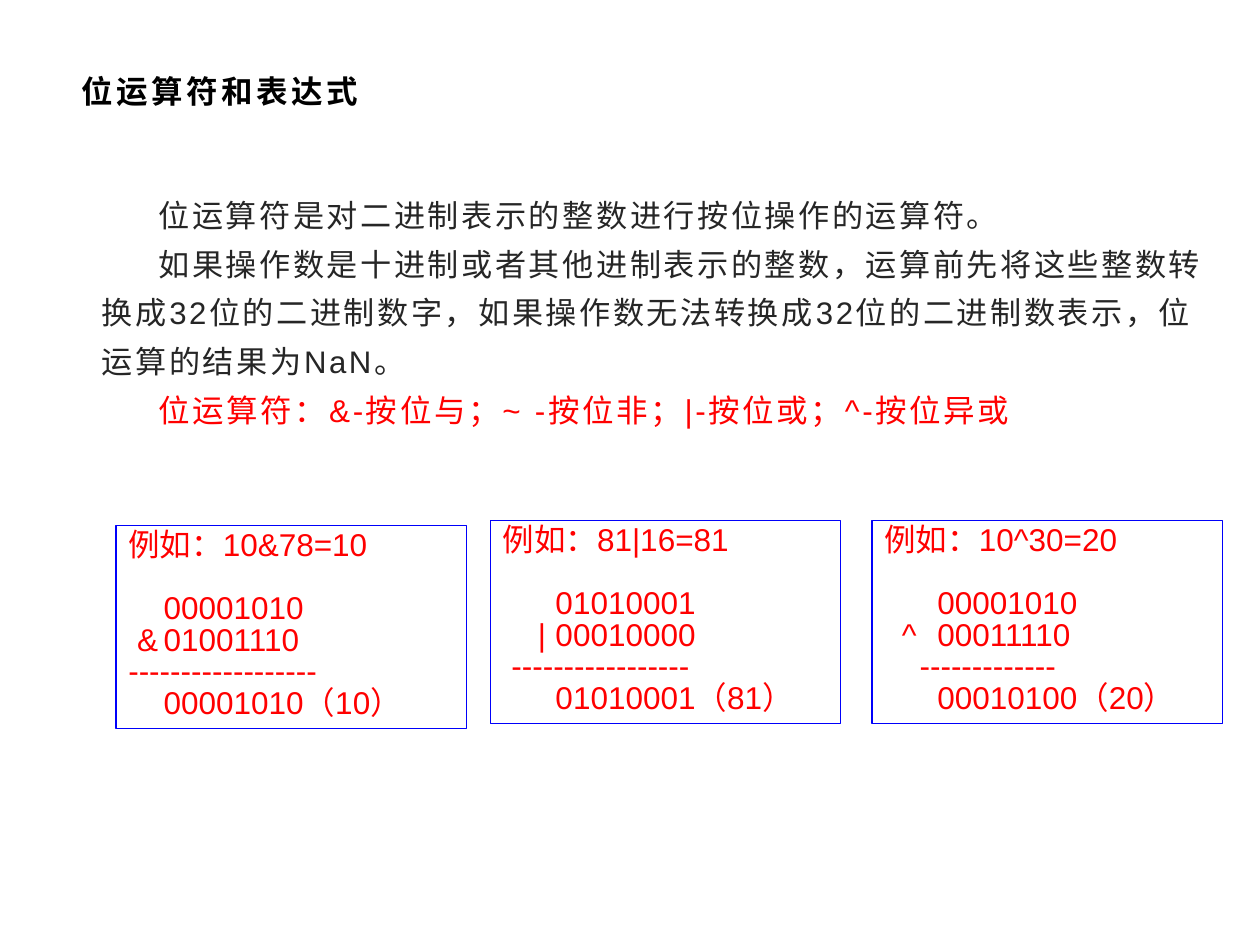
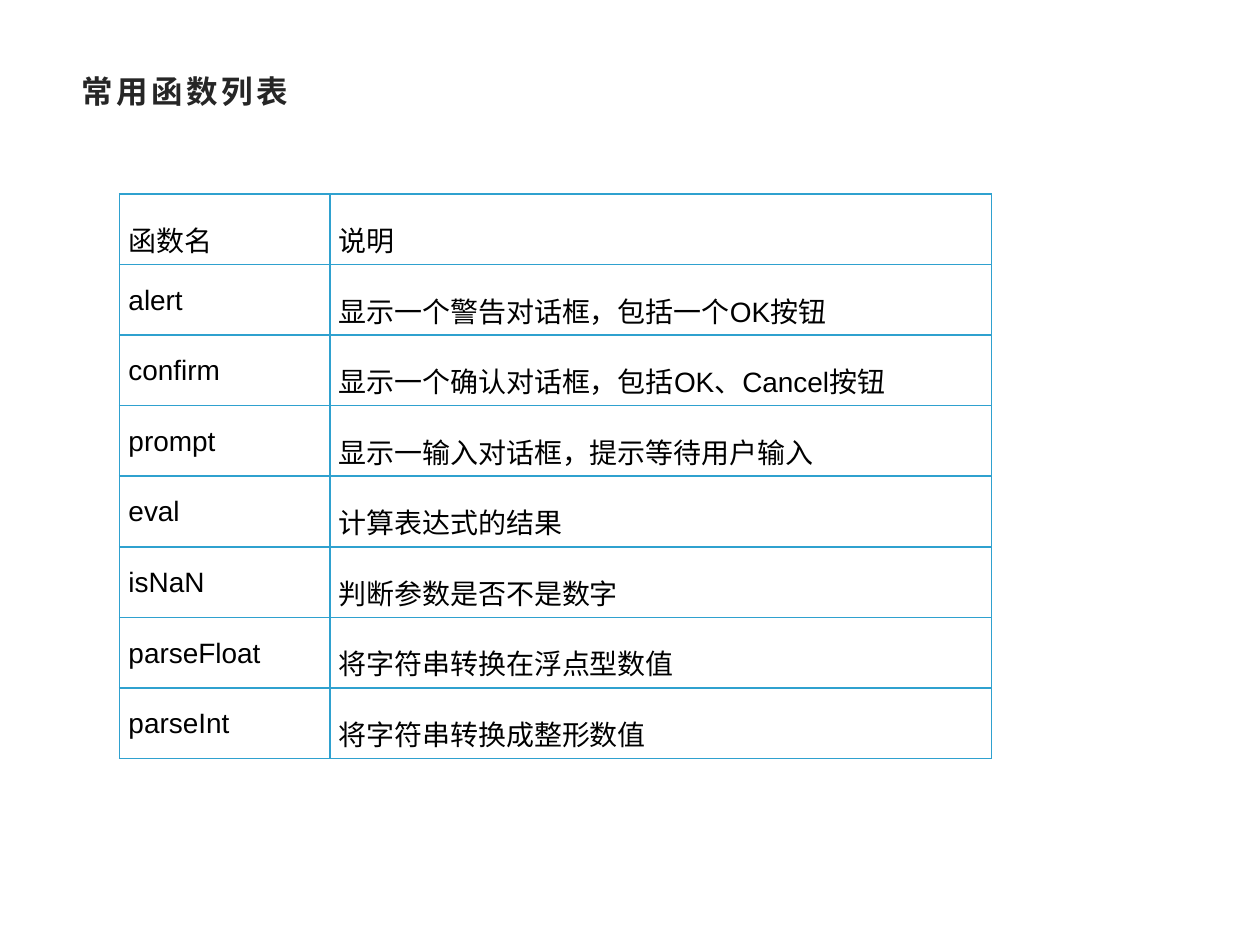
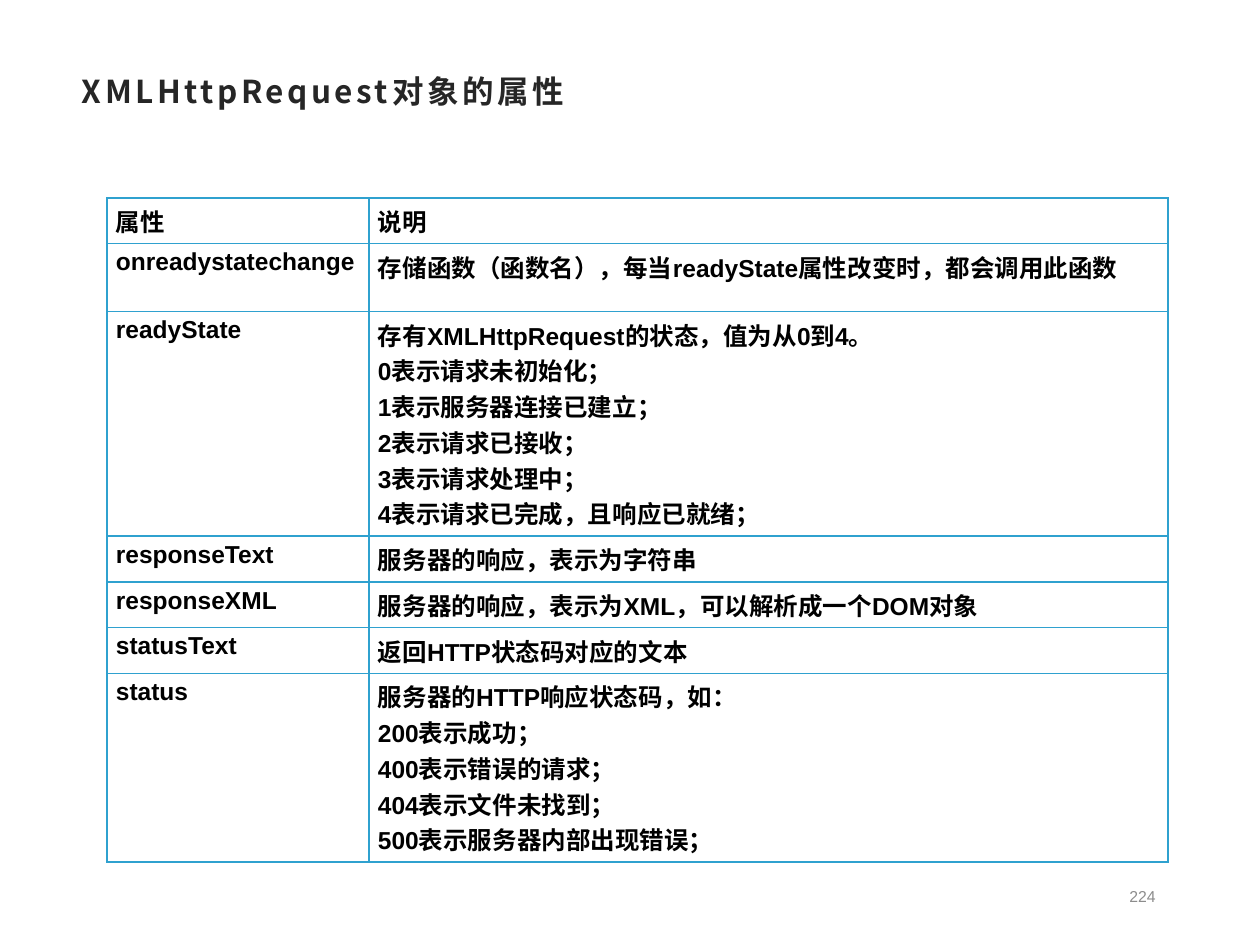
from pptx import Presentation
from pptx.dml.color import RGBColor
from pptx.enum import shapes, text
from pptx.oxml import ns
from pptx.util import Inches, Pt
from lxml import etree

# Content
HEADS = ["位运算符和表达式", "常用函数列表", "XMLHttpRequest对象的属性"]
INTRO = [
    "位运算符是对二进制表示的整数进行按位操作的运算符。",
    "如果操作数是十进制或者其他进制表示的整数，运算前先将这些整数转换成32位的二进制数字，"
    "如果操作数无法转换成32位的二进制数表示，位运算的结果为NaN。",
]
SIGNS = "位运算符：&-按位与；~ -按位非；|-按位或；^-按位异或"
# Head, first number, sign, second number, rule length, result,
# box place, then indents of the sign, the digits and the rule
SUMS = [
    ("例如：10&78=10", "00001010", "&", "01001110", 18, "00001010（10）",
     (0.92, 4.17), (0.07, 0.28, 0)),
    ("例如：81|16=81", "01010001", "|", "00010000", 17, "01010001（81）",
     (3.89, 4.13), (0.28, 0.42, 0.07)),
    ("例如：10^30=20", "00001010", "^", "00011110", 13, "00010100（20）",
     (6.92, 4.13), (0.14, 0.42, 0.28)),
]
FUNCS = [
    ("函数名", "说明"),
    ("alert", "显示一个警告对话框，包括一个OK按钮"),
    ("confirm", "显示一个确认对话框，包括OK、Cancel按钮"),
    ("prompt", "显示一输入对话框，提示等待用户输入"),
    ("eval", "计算表达式的结果"),
    ("isNaN", "判断参数是否不是数字"),
    ("parseFloat", "将字符串转换在浮点型数值"),
    ("parseInt", "将字符串转换成整形数值"),
]
PROPS = [
    ("属性", "说明"),
    ("onreadystatechange", "存储函数（函数名），每当readyState属性改变时，都会调用此函数"),
    ("readyState", "存有XMLHttpRequest的状态，值为从0到4。\n0表示请求未初始化；\n"
     "1表示服务器连接已建立；\n2表示请求已接收；\n3表示请求处理中；\n"
     "4表示请求已完成，且响应已就绪；"),
    ("responseText", "服务器的响应，表示为字符串"),
    ("responseXML", "服务器的响应，表示为XML，可以解析成一个DOM对象"),
    ("statusText", "返回HTTP状态码对应的文本"),
    ("status", "服务器的HTTP响应状态码，如：\n200表示成功；\n400表示错误的请求；\n"
     "404表示文件未找到；\n500表示服务器内部出现错误；"),
]
PAGE = "224"

# Shared look
HUES = {"black": "000000", "ink": "262626", "red": "FF0000",
        "blue": "0000FA", "grid": "2FA1CF", "grey": "8C8C8C"}
LATIN, HAN = "Arial", "Noto Sans CJK SC"


def hue(name):
    return RGBColor.from_string(HUES[name])


def write(par, words, size, color, bold=False, gap=0, face=LATIN, **form):
    """Put one run in a paragraph; form holds paragraph format values."""
    run = par.add_run()
    run.text = words
    for key, val in {"size": Pt(size), "bold": bold, "name": face}.items():
        setattr(run.font, key, val)
    run.font.color.rgb = hue(color)
    props = run.font._element
    etree.SubElement(props, ns.qn("a:ea")).set("typeface", HAN)
    if gap:
        props.set("spc", str(int(gap * 100)))
    for key, val in form.items():
        setattr(par, key, val)


def indent(par, left, first=0):
    props = par._p.get_or_add_pPr()
    props.set("marL", str(Inches(left)))
    props.set("indent", str(Inches(first)))


def pars(frame, count):
    return [frame.paragraphs[0]] + [frame.add_paragraph() for _ in range(count - 1)]


def add_slide(deck, head, color="ink", face=LATIN):
    slide = deck.slides.add_slide(deck.slide_layouts[5])
    title = slide.shapes.title
    for key, val in zip(("left", "top", "width", "height"), (0.55, 0.48, 8.9, 0.48)):
        setattr(title, key, Inches(val))
    title.text_frame.vertical_anchor = text.MSO_ANCHOR.MIDDLE
    write(title.text_frame.paragraphs[0], head, 18, color, True, 2, face,
          alignment=text.PP_ALIGN.LEFT)
    return slide


def add_box(slide, *place):
    frame = slide.shapes.add_textbox(*map(Inches, place)).text_frame
    frame.word_wrap = True
    return frame


def add_sum(slide, head, one, sign, two, dashes, result, place, tabs):
    box = slide.shapes.add_shape(shapes.MSO_SHAPE.RECTANGLE,
                                 *map(Inches, (*place, 2.78, 1.61)))
    box.shadow.inherit = False
    box.fill.background()
    box.line.color.rgb = hue("blue")
    box.line.width = Pt(0.75)
    frame = box.text_frame
    frame.vertical_anchor = text.MSO_ANCHOR.TOP
    frame.auto_size = text.MSO_AUTO_SIZE.SHAPE_TO_FIT_TEXT
    mark, digit, rule = tabs
    rows = [(head, 0, 0), (one, digit, 0), (f"{sign}\t{two}", digit, mark - digit),
            ("-" * dashes, rule, 0), (result, digit, 0)]
    for i, (par, (words, left, first)) in enumerate(zip(pars(frame, len(rows)), rows)):
        indent(par, left, first)
        write(par, words, 18, "red", line_spacing=Pt(18),
              space_before=Pt(18 if i == 1 else 0), alignment=text.PP_ALIGN.LEFT)


def edge(cell):
    props = cell._tc.get_or_add_tcPr()
    for side in "LRTB":
        line = etree.SubElement(props, ns.qn(f"a:ln{side}"), w=str(Pt(1)))
        fill = etree.SubElement(line, ns.qn("a:solidFill"))
        etree.SubElement(fill, ns.qn("a:srgbClr"), val=HUES["grid"])


def add_grid(slide, rows, left, top, cols, highs, **form):
    places = (left, top, sum(cols), sum(highs))
    table = slide.shapes.add_table(len(rows), len(cols), *map(Inches, places)).table
    table.first_row = table.horz_banding = False
    for col, wide in zip(table.columns, cols):
        col.width = Inches(wide)
    for row, high, cells in zip(table.rows, highs, rows):
        row.height = Inches(high)
        for cell, words in zip(row.cells, cells):
            edge(cell)
            cell.fill.background()
            cell.margin_left = cell.margin_right = Inches(0.07)
            cell.margin_top = cell.margin_bottom = Inches(0.04)
            lines = words.split("\n")
            for par, line in zip(pars(cell.text_frame, len(lines)), lines):
                write(par, line, color="black", **form)


def main():
    deck = Presentation()
    deck.slide_width, deck.slide_height = Inches(10), Inches(7.5)

    # Bitwise operators
    slide = add_slide(deck, HEADS[0], "black")
    lines = [(line, 17.8, "ink") for line in INTRO] + [(SIGNS, 18, "red")]
    frame = add_box(slide, 0.71, 1.42, 8.99, 2.25)
    for par, (words, size, color) in zip(pars(frame, len(lines)), lines):
        indent(par, 0, 0.45)
        write(par, words, size, color, gap=1.5, line_spacing=1.3)
    for item in SUMS:
        add_sum(slide, *item)

    # Common functions
    slide = add_slide(deck, HEADS[1])
    add_grid(slide, FUNCS, 0.95, 1.54, (1.67, 5.25), [0.55] * len(FUNCS),
             size=16, line_spacing=1.5)

    # Request properties: row height follows the number of lines
    slide = add_slide(deck, HEADS[2], face=HAN)
    highs = [0.08 + 0.28 * (1 + words.count("\n")) for _, words in PROPS]
    highs[1] = 0.54
    add_grid(slide, PROPS, 0.85, 1.57, (2.08, 6.34), highs, size=14, bold=True)
    frame = add_box(slide, 7.06, 6.94, 2.21, 0.35)
    frame.vertical_anchor = text.MSO_ANCHOR.MIDDLE
    write(frame.paragraphs[0], PAGE, 9, "grey", alignment=text.PP_ALIGN.RIGHT)

    deck.save("out.pptx")


if __name__ == "__main__":
    main()
